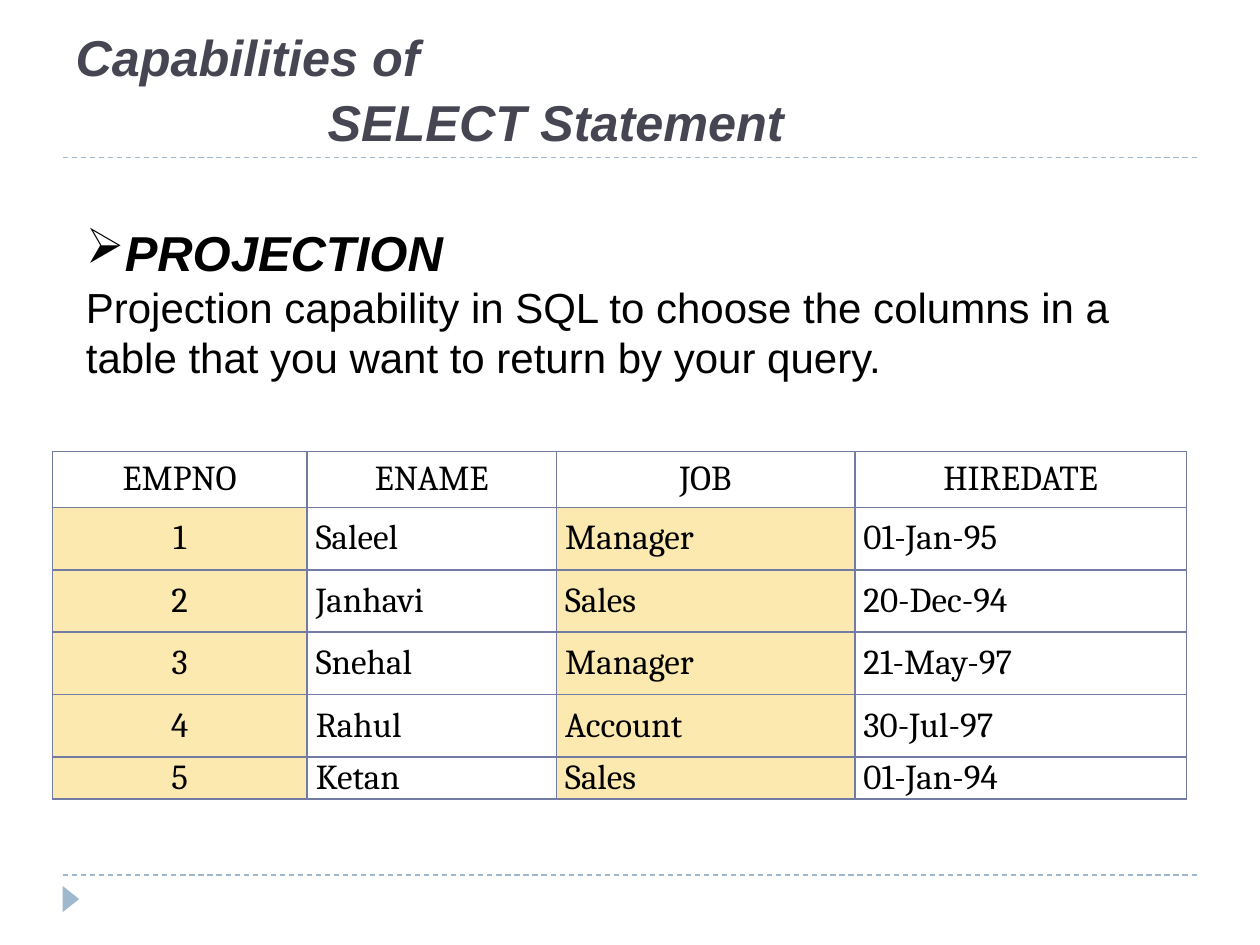
from pptx import Presentation
from pptx import util as u
from pptx.dml.color import RGBColor
from pptx.enum import dml, shapes, text
from pptx.oxml import ns, parse_xml

HEADER = ["EMPNO", "ENAME", "JOB", "HIREDATE"]
EMPLOYEES = [
    ["1", "Saleel", "Manager", "01-Jan-95"],
    ["2", "Janhavi", "Sales", "20-Dec-94"],
    ["3", "Snehal", "Manager", "21-May-97"],
    ["4", "Rahul", "Account", "30-Jul-97"],
    ["5", "Ketan", "Sales", "01-Jan-94"],
]
PROJECTED = (0, 2)


def color(value):
    return RGBColor.from_string(value)


class SlideBuilder:
    """Holds the style and the current slide, and adds each kind of element."""

    ink, heading, accent = "000000", "464653", "9FB8CD"
    border, highlight = "727CA3", "FCE9AF"
    sans, serif = "Arial", "Cambria"

    def __init__(self, deck):
        self.slide = deck.slides.add_slide(deck.slide_layouts[5])

    def format(self, paragraph, size, face, ink, strong=False):
        for run in paragraph.runs:
            run.font.size = u.Pt(size)
            run.font.name = face
            run.font.bold = run.font.italic = strong
            run.font.color.rgb = color(ink)

    def rule(self, left, right, y):
        rule = self.slide.shapes.add_connector(
            shapes.MSO_CONNECTOR.STRAIGHT, u.Pt(left), u.Pt(y), u.Pt(right), u.Pt(y))
        rule.line.color.rgb = color(self.accent)
        rule.line.width = u.Pt(0.75)
        rule.line.dash_style = dml.MSO_LINE.DASH
        rule._element.spPr.append(parse_xml(f"<a:effectLst {ns.nsdecls('a')}/>"))

    def marker(self, *box):
        marker = self.slide.shapes.add_shape(
            shapes.MSO_SHAPE.ISOSCELES_TRIANGLE, *map(u.Pt, box))
        marker.rotation = 90
        marker.shadow.inherit = False
        marker.fill.solid()
        marker.fill.fore_color.rgb = color(self.accent)
        marker.line.fill.background()

    def title(self, wording, indent, *box):
        title = self.slide.shapes.title
        title.left, title.top, title.width, title.height = map(u.Pt, box)
        frame = title.text_frame
        frame.text = wording
        frame.auto_size = text.MSO_AUTO_SIZE.NONE
        frame.vertical_anchor = text.MSO_ANCHOR.BOTTOM
        for paragraph in frame.paragraphs:
            paragraph.alignment = text.PP_ALIGN.LEFT
            paragraph.line_spacing = 1.07
            self.format(paragraph, 28.8, self.sans, self.heading, True)
        frame.paragraphs[1]._p.get_or_add_pPr().set("marL", str(u.Pt(indent)))

    def definition(self, term, meaning, *box):
        frame = self.slide.shapes.add_textbox(*map(u.Pt, box)).text_frame
        frame.word_wrap = True
        frame.text = f"{term}\n{meaning}"
        term_line, meaning_line = frame.paragraphs
        term_line.line_spacing = 2.0
        term_line._p.get_or_add_pPr().append(
            parse_xml(f'<a:buChar {ns.nsdecls("a")} char="➢"/>'))
        self.format(term_line, 28, self.sans, self.ink, True)
        self.format(meaning_line, 24, self.sans, self.ink)

    def cell(self, cell, wording, centred, highlighted):
        cell.text = wording
        cell.vertical_anchor = text.MSO_ANCHOR.MIDDLE
        cell.margin_left = cell.margin_right = u.Pt(5)
        cell.margin_top = cell.margin_bottom = 0
        paragraph = cell.text_frame.paragraphs[0]
        paragraph.alignment = text.PP_ALIGN.CENTER if centred else text.PP_ALIGN.LEFT
        self.format(paragraph, 20, self.serif, self.ink)
        for side in "LRTB":
            cell._tc.get_or_add_tcPr().append(parse_xml(
                f'<a:ln{side} {ns.nsdecls("a")} w="{u.Pt(1)}"><a:solidFill>'
                f'<a:srgbClr val="{self.border}"/></a:solidFill></a:ln{side}>'))
        if highlighted:
            cell.fill.solid()
            cell.fill.fore_color.rgb = color(self.highlight)
        else:
            cell.fill.background()

    def table(self, records, left, top, widths, heights):
        table = self.slide.shapes.add_table(
            len(heights), len(widths), u.Pt(left), u.Pt(top),
            u.Pt(sum(widths)), u.Pt(sum(heights))).table
        table.first_row = table.horz_banding = False
        for column, width in zip(table.columns, widths):
            column.width = u.Pt(width)
        for row, height in zip(table.rows, heights):
            row.height = u.Pt(height)
        for r, record in enumerate(records):
            for c, wording in enumerate(record):
                self.cell(table.cell(r, c), wording, r == 0 or c == 0,
                          r > 0 and c in PROJECTED)


def main():
    deck = Presentation()
    deck.slide_width, deck.slide_height = u.Pt(720), u.Pt(540)
    builder = SlideBuilder(deck)
    for y in (500, 90):
        builder.rule(36, 684, y)
    builder.marker(33, 509, 15, 9.5)
    builder.title("Capabilities of\nSELECT Statement", 144, 36, 18, 648, 72)
    builder.definition(
        "PROJECTION",
        "Projection capability in SQL to choose the columns in a table "
        "that you want to return by your query.",
        42, 90, 648, 133)
    builder.table([HEADER, *EMPLOYEES], 30, 258,
                  [145.5, 142.5, 170.5, 189.5], [32] + [35.65] * 4 + [24])
    deck.save("out.pptx")


if __name__ == "__main__":
    main()
